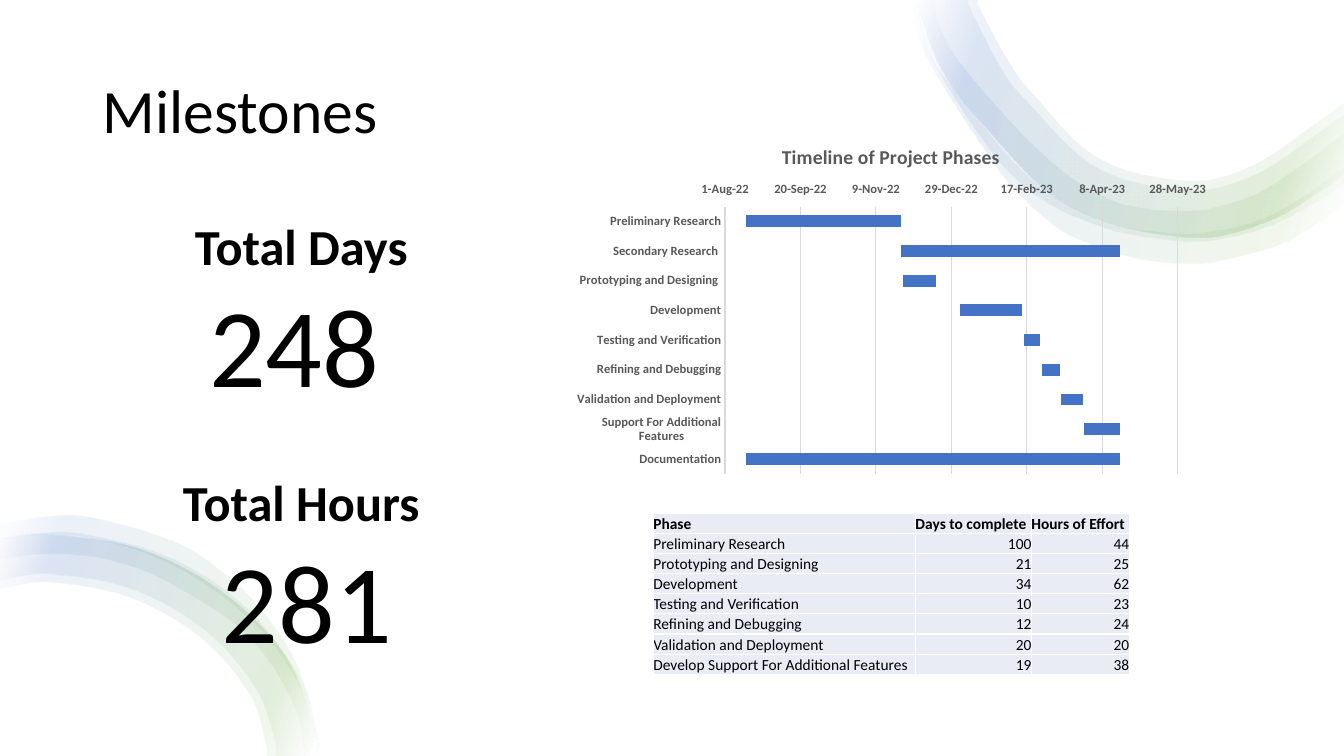
import math

from lxml import etree
from pptx import Presentation
from pptx import util as u
from pptx.chart.data import CategoryChartData
from pptx.dml.color import RGBColor
from pptx.enum import chart as ch, shapes, text
from pptx.oxml import parse_xml
from pptx.oxml.ns import nsdecls, qn

BLACK = RGBColor(0x00, 0x00, 0x00)
WHITE = RGBColor(0xFF, 0xFF, 0xFF)
GRAY = RGBColor(0x59, 0x59, 0x59)
GRID = RGBColor(0xD9, 0xD9, 0xD9)
BLUE = RGBColor(0x44, 0x72, 0xC4)
GREEN = RGBColor(0x70, 0xAD, 0x47)
CELL = RGBColor(0xE9, 0xEB, 0xF5)
FONT = "Calibri"
RIBBON_STOPS = [(2, WHITE), (16, GREEN), (85, BLUE), (100, WHITE)]

# Ribbon edges, each a list of points in inches joined by a smooth curve
TOP_OUTER = [(13.33, 1.71), (13.21, 1.81), (12.57, 2.19), (11.81, 2.35), (10.6, 2.04),
             (9.73, 1.22), (9.33, 0.68), (9.11, 0.07), (9.11, 0)]
TOP_RIBBON = [
    ([(9.1, 0), (9.2, 0.49), (9.48, 0.92), (9.81, 1.32), (10.15, 1.7), (10.55, 2.01),
      (11.01, 2.21), (11.5, 2.3), (11.88, 2.31), (12.48, 2.18), (12.93, 1.94), (13.33, 1.65)],
     [(13.33, 2.02), (12.87, 2.33), (12.61, 2.45), (12.05, 2.59), (11.76, 2.61), (11.19, 2.54),
      (10.65, 2.35), (10.41, 2.2), (10.01, 1.82), (9.7, 1.39), (9.42, 0.96), (9.16, 0.5),
      (9.09, 0.25), (9.07, 0)]),
    ([(9.27, 0), (9.29, 0.18), (9.43, 0.49), (9.64, 0.77), (9.96, 1.14), (10.29, 1.48),
      (10.64, 1.77), (11.04, 1.99), (11.39, 2.07), (11.77, 2.09), (11.97, 2.07),
      (12.41, 1.94), (12.81, 1.7), (13.33, 1.32)],
     [(13.33, 1.81), (13.03, 2.01), (12.55, 2.25), (12.02, 2.38), (11.74, 2.39), (11.21, 2.32),
      (10.94, 2.25), (10.44, 2.04), (10.02, 1.72), (9.7, 1.32), (9.43, 0.91), (9.24, 0.58),
      (9.15, 0.34), (9.11, 0)]),
    ([(9.6, 0), (9.61, 0.07), (9.95, 0.72), (10.13, 0.95), (10.88, 1.66), (11.81, 1.88),
      (12.44, 1.73), (13.08, 1.31), (13.33, 1.13)], TOP_OUTER),
    ([(9.7, 0), (9.7, 0.06), (10.03, 0.66), (10.21, 0.9), (10.9, 1.57), (11.81, 1.79),
      (12.39, 1.65), (13.02, 1.24), (13.33, 1.01)], TOP_OUTER),
]
LOW_OUTER = [(0, 5.36), (0.49, 5.31), (1.41, 5.46), (2.22, 5.89), (2.84, 6.53),
             (3.14, 7.32), (3.16, 7.5)]
LOW_RIBBON = [
    (LOW_OUTER, [(2.65, 7.5), (2.64, 7.39), (2.48, 6.9), (1.99, 6.33), (1.28, 5.93),
                 (0.49, 5.78), (0.13, 5.82), (0, 5.85)]),
    (LOW_OUTER, [(2.73, 7.5), (2.73, 7.38), (2.55, 6.86), (2.05, 6.27), (1.31, 5.85),
                 (0.49, 5.7), (0.11, 5.74), (0, 5.77)]),
    ([(0, 5.34), (0.38, 5.29), (0.83, 5.3), (1.7, 5.54), (2.44, 6.03), (2.97, 6.72),
      (3.11, 7.12), (3.16, 7.5)],
     [(3.02, 7.5), (2.97, 7.16), (2.81, 6.79), (2.59, 6.46), (2.3, 6.17), (1.6, 5.74),
      (1.21, 5.59), (0.81, 5.51), (0.39, 5.5), (0, 5.55)]),
    ([(0, 5.21), (0.37, 5.14), (0.86, 5.13), (1.78, 5.4), (2.27, 5.73), (2.52, 5.97),
      (2.8, 6.34), (3, 6.74), (3.16, 7.38), (3.17, 7.5)],
     [(3.14, 7.5), (3.1, 7.17), (2.94, 6.76), (2.7, 6.39), (2.4, 6.08), (2.05, 5.81),
      (1.67, 5.59), (1.26, 5.43), (0.83, 5.33), (0.39, 5.31), (0, 5.36)]),
]
# Phase, first day as a date serial, length in days
PHASES = [
    ("Preliminary Research", 44788, 103), ("Secondary Research ", 44891, 145),
    ("Prototyping and Designing ", 44892, 22), ("Development", 44930, 41),
    ("Testing and Verification", 44972, 11), ("Refining and Debugging", 44984, 12),
    ("Validation and Deployment", 44997, 14),
    ("Support For Additional Features", 45012, 24), ("Documentation", 44788, 248),
]
EFFORT = [
    ("Phase", "Days to complete", "Hours of Effort"),
    ("Preliminary Research", "100", "44"), ("Prototyping and Designing", "21", "25"),
    ("Development", "34", "62"), ("Testing and Verification", "10", "23"),
    ("Refining and Debugging", "12", "24"), ("Validation and Deployment", "20", "20"),
    ("Develop Support For Additional Features", "19", "38"),
]


def style(font, size, bold=False, color=BLACK):
    font.name, font.size, font.bold = FONT, u.Pt(size), bold
    font.color.rgb = color


def write(p, words, size, bold=False, color=BLACK, align=text.PP_ALIGN.LEFT, before=0):
    p.alignment, p.space_before = align, u.Pt(before)
    r = p.add_run()
    r.text = words
    style(r.font, size, bold, color)


def handles(points):
    """Both Bézier handles of every segment of a smooth curve through the points."""
    ends = [points[0], *points, points[-1]]
    for a, b, c, d in zip(ends, ends[1:], ends[2:], ends[3:]):
        reach = math.dist(b, c) / 3
        k, m = reach / math.dist(a, c), reach / math.dist(b, d)
        yield ((b[0] + (c[0] - a[0]) * k, b[1] + (c[1] - a[1]) * k),
               (c[0] - (d[0] - b[0]) * m, c[1] - (d[1] - b[1]) * m))


def place(element, chart_size, target="", **inches):
    """Give a chart title or plot area a fixed place, in inches from the chart's corner."""
    for old in element.findall(qn("c:layout")):
        element.remove(old)
    whole = dict(zip("xywh", chart_size * 2))
    values = "".join(f'<c:{k} val="{v / whole[k]:.4f}"/>' for k, v in inches.items())
    layout = parse_xml(
        f'<c:layout {nsdecls("c")}><c:manualLayout>{target}<c:xMode val="edge"/>'
        f'<c:yMode val="edge"/>{values}</c:manualLayout></c:layout>')
    element.insert(0 if element.find(qn("c:tx")) is None else 1, layout)


class Deck:
    def __init__(self):
        self.prs = Presentation()
        self.prs.slide_width, self.prs.slide_height = u.Inches(13.33), u.Inches(7.5)
        self.s = self.prs.slides.add_slide(self.prs.slide_layouts[5])

    def backdrop(self):
        sp = self.s.shapes.add_shape(shapes.MSO_SHAPE.RECTANGLE, 0, 0,
                                     self.prs.slide_width, self.prs.slide_height)
        sp.shadow.inherit = False
        sp.fill.solid()
        sp.fill.fore_color.rgb = WHITE
        sp.line.fill.background()

    def ribbon(self, *edges):
        outline = [(u.Inches(x), u.Inches(y)) for edge in edges for x, y in edge]
        builder = self.s.shapes.build_freeform(*outline[0])
        builder.add_line_segments(outline[1:], close=True)
        sp = builder.convert_to_shape()
        # Bend the lines along each edge; the line between the edges stays straight
        lines = sp._element.findall(".//" + qn("a:lnTo"))
        bends = [*handles(edges[0]), None, *handles(edges[1])]
        for line, bend in zip(lines, bends):
            if bend:
                line.tag = qn("a:cubicBezTo")
                for i, (x, y) in enumerate(bend):
                    pt = etree.Element(qn("a:pt"), x=str(u.Inches(x) - sp.left),
                                       y=str(u.Inches(y) - sp.top))
                    line.insert(i, pt)
        sp.shadow.inherit = False
        sp.line.fill.background()
        sp.fill.gradient()
        sp.fill.gradient_angle = 160
        stops = sp._element.spPr.find(".//" + qn("a:gsLst"))
        for old in list(stops):
            stops.remove(old)
        for pos, color in RIBBON_STOPS:
            stops.append(parse_xml(
                f'<a:gs {nsdecls("a")} pos="{pos * 1000}"><a:srgbClr val="{color}">'
                '<a:alpha val="10000"/></a:srgbClr></a:gs>'))

    def title(self, words, *box):
        sp = self.s.shapes.title
        self.s.shapes._spTree.append(sp._element)  # in front of the backdrop
        sp.left, sp.top, sp.width, sp.height = map(u.Inches, box)
        sp.text_frame.vertical_anchor = text.MSO_ANCHOR.MIDDLE
        p = sp.text_frame.paragraphs[0]
        p.line_spacing = 0.9
        write(p, words, 44)

    def totals(self, pairs, *box):
        tf = self.s.shapes.add_textbox(*map(u.Inches, box)).text_frame
        tf.word_wrap = True
        center = text.PP_ALIGN.CENTER
        for i, (label, value) in enumerate(pairs):
            p = tf.add_paragraph() if i else tf.paragraphs[0]
            write(p, label, 36, bold=True, align=center, before=44 if i else 0)
            write(tf.add_paragraph(), value, 80, align=center)

    def timeline(self, heading, phases, *box):
        names, starts, days = zip(*phases)
        data = CategoryChartData()
        data.categories = names
        data.add_series("Series 1", starts)
        data.add_series("Series 2", days)
        chart = self.s.shapes.add_chart(ch.XL_CHART_TYPE.BAR_STACKED,
                                        *map(u.Inches, box), data).chart
        style(chart.font, 10)
        chart.has_legend = False
        write(chart.chart_title.text_frame.paragraphs[0], heading, 14, bold=True,
              color=GRAY, align=text.PP_ALIGN.CENTER)
        place(chart.chart_title._element, box[2:], x=2.13, y=0.12)
        place(chart._chartSpace.chart.plotArea, box[2:], '<c:layoutTarget val="inner"/>',
              x=1.6, y=0.78, w=4.49, h=2.65)
        plot = chart.plots[0]
        plot.gap_width, plot.overlap, plot.vary_by_categories = 150, 100, False
        offset, bars = plot.series
        offset.format.fill.background()
        bars.format.fill.solid()
        bars.format.fill.fore_color.rgb = BLUE
        cat, val = chart.category_axis, chart.value_axis
        for axis in (cat, val):
            axis.major_tick_mark = axis.minor_tick_mark = ch.XL_TICK_MARK.NONE
            style(axis.tick_labels.font, 9, bold=True, color=GRAY)
        cat.reverse_order = True
        val.tick_label_position = ch.XL_TICK_LABEL_POSITION.LOW
        val.minimum_scale, val.maximum_scale, val.major_unit = 44774, 45074, 50
        val.tick_labels.number_format = r"d\-mmm\-yy"
        val.tick_labels.number_format_is_linked = False
        val.format.line.fill.background()
        for line in (cat.format.line, val.major_gridlines.format.line):
            line.color.rgb, line.width = GRID, u.Pt(0.75)

    def table(self, rows, widths, left, top, row_height):
        table = self.s.shapes.add_table(
            len(rows), len(widths), u.Inches(left), u.Inches(top),
            u.Inches(sum(widths)), u.Inches(row_height * len(rows))).table
        table.first_row = table.horz_banding = False
        for column, width in zip(table.columns, widths):
            column.width = u.Inches(width)
        for i, row in enumerate(rows):
            for j, words in enumerate(row):
                cell = table.cell(i, j)
                cell.margin_left = cell.margin_right = cell.margin_top = cell.margin_bottom = 0
                cell.vertical_anchor = text.MSO_ANCHOR.BOTTOM
                for side in "LRTB":
                    ln = etree.SubElement(cell._tc.get_or_add_tcPr(), qn(f"a:ln{side}"), w="12700")
                    fill = etree.SubElement(ln, qn("a:solidFill"))
                    etree.SubElement(fill, qn("a:srgbClr"), val=str(WHITE))
                cell.fill.solid()
                cell.fill.fore_color.rgb = CELL
                align = text.PP_ALIGN.RIGHT if i and j else text.PP_ALIGN.LEFT
                write(cell.text_frame.paragraphs[0], words, 11, bold=i == 0, align=align)


# Backdrop and ribbons
deck = Deck()
deck.backdrop()
for edges in TOP_RIBBON + LOW_RIBBON:
    deck.ribbon(*edges)
# Title, timeline, totals and effort table
deck.title("Milestones", 0.92, 0.4, 11.5, 1.45)
deck.timeline("Timeline of Project Phases", PHASES, 5.59, 1.27, 6.5, 3.5)
deck.totals([("Total Days ", "248 "), ("Total Hours ", "281")], 1.24, 2.08, 3.61, 4.61)
deck.table(EFFORT, (2.6, 1.15, 0.97), 6.48, 5.09, 0.2)
deck.prs.save("out.pptx")
